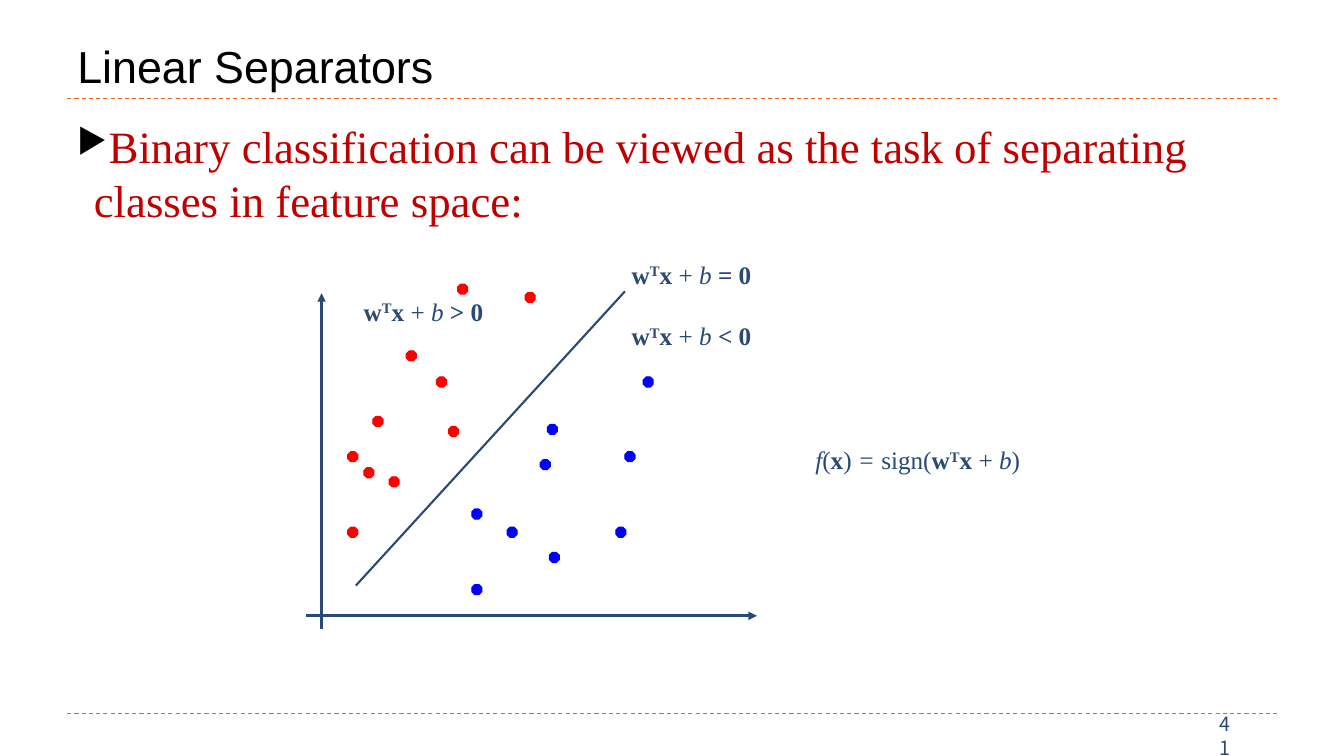
from lxml import etree
from pptx import Presentation
from pptx.dml.color import RGBColor
from pptx.enum import dml, shapes, text
from pptx.oxml import ns
from pptx.util import Pt

NAVY, RED, BLUE, ORANGE = "2A4A75", "FF0000", "0000FF", "EB641B"
SERIF = "Times New Roman"


def rgb(color):
    return RGBColor.from_string(color)


def add_runs(p, runs, size, name, color):
    for content, style in runs:
        r = p.add_run()
        r.text = content
        r.font.size = Pt(size)
        r.font.name = name
        r.font.color.rgb = rgb(color)
        r.font.bold = "b" in style
        r.font.italic = "i" in style
        if "^" in style:
            r._r.get_or_add_rPr().set("baseline", "30000")


prs = Presentation()
prs.slide_width, prs.slide_height = Pt(960), Pt(540)
s = prs.slides.add_slide(prs.slide_layouts[5])

title = s.shapes.title
title.left, title.top, title.width, title.height = Pt(48), Pt(12.2), Pt(864), Pt(57.6)
tf = title.text_frame
tf.auto_size = text.MSO_AUTO_SIZE.NONE
tf.vertical_anchor = text.MSO_ANCHOR.BOTTOM
tf.paragraphs[0].alignment = text.PP_ALIGN.LEFT
add_runs(tf.paragraphs[0], [("Linear Separators", "")], 32, "Arial", "000000")

body = s.shapes.add_textbox(Pt(48), Pt(81.2), Pt(864), Pt(422.8))
body.text_frame.word_wrap = True
p = body.text_frame.paragraphs[0]
pPr = p._p.get_or_add_pPr()
pPr.set("marL", str(Pt(12)))
pPr.set("indent", str(Pt(-12)))
bullet_color = etree.SubElement(pPr, ns.qn("a:buClr"))
etree.SubElement(bullet_color, ns.qn("a:srgbClr"), val="000000")
etree.SubElement(pPr, ns.qn("a:buSzPct"), val="76000")
etree.SubElement(pPr, ns.qn("a:buChar"), char="▶")
statement = "Binary classification can be viewed as the task of separating classes in feature space:"
add_runs(p, [(statement, "")], 32, SERIF, "C00000")

lines = [
    (48, 70.6, 912, 70.6, ORANGE, 0.75, "dash"),
    (48, 509.8, 912, 509.8, ORANGE, 0.75, "dash"),
    (229.7, 449.3, 229.7, 209.5, NAVY, 2, "arrow"),
    (218.9, 439.9, 540.7, 439.9, NAVY, 2, "arrow"),
    (254.2, 418.3, 446.4, 208.1, NAVY, 1.5, "plain"),
]
for x1, y1, x2, y2, color, width, kind in lines:
    line = s.shapes.add_connector(
        shapes.MSO_CONNECTOR.STRAIGHT, Pt(x1), Pt(y1), Pt(x2), Pt(y2))
    line.line.color.rgb = rgb(color)
    line.line.width = Pt(width)
    if kind == "dash":
        line.line.dash_style = dml.MSO_LINE.DASH
    if kind == "arrow":
        etree.SubElement(line.line._get_or_add_ln(), ns.qn("a:tailEnd"), type="triangle")
    etree.SubElement(line._element.spPr, ns.qn("a:effectLst"))

classes = {
    RED: [(311.8, 269.3), (266.4, 297.4), (277.9, 340.6), (248.4, 376.6), (290.2, 250.6),
          (248.4, 322.6), (259.9, 334.1), (320.4, 304.6), (326.9, 203), (375.1, 208.8)],
    BLUE: [(391, 303.1), (362.2, 376.6), (439.9, 376.6), (337, 417.6), (385.9, 328.3),
           (337, 363.6), (392.4, 394.6), (446.4, 322.6), (459.4, 269.3)],
}
for color, points in classes.items():
    for x, y in points:
        dot = s.shapes.add_shape(shapes.MSO_SHAPE.OCTAGON, Pt(x), Pt(y), Pt(7.2), Pt(7.2))
        dot.adjustments[0] = 0.293
        dot.shadow.inherit = False
        dot.fill.solid()
        dot.fill.fore_color.rgb = rgb(color)
        dot.line.color.rgb = rgb(color)
        dot.line.width = Pt(0.75)

plane = [("w", "b"), ("T", "b^"), ("x ", "b"), ("+ ", ""), ("b", "i")]
labels = [
    (444.2, 181.4, 210, plane + [(" = 0", "b")]),
    (444.2, 225.4, 210, plane + [(" < 0", "b")]),
    (252.7, 208.1, 210, plane + [(" > 0", "b")]),
    (575.3, 313.9, 231, [("f", "i"), ("(", ""), ("x", "b"), (")", ""), (" = ", "i"),
                         ("sign(", "")] + plane + [(")", "")]),
]
for x, y, width, runs in labels:
    label = s.shapes.add_textbox(Pt(x), Pt(y), Pt(width), Pt(36))
    label.text_frame.word_wrap = True
    add_runs(label.text_frame.paragraphs[0], runs, 18, SERIF, NAVY)

number = s.shapes.add_textbox(Pt(864), Pt(513.4), Pt(29.5), Pt(24.5))
number.text_frame.word_wrap = True
number.text_frame.vertical_anchor = text.MSO_ANCHOR.MIDDLE
add_runs(number.text_frame.paragraphs[0], [("41", "")], 14, "Noto Sans CJK SC", NAVY)

prs.save("out.pptx")
